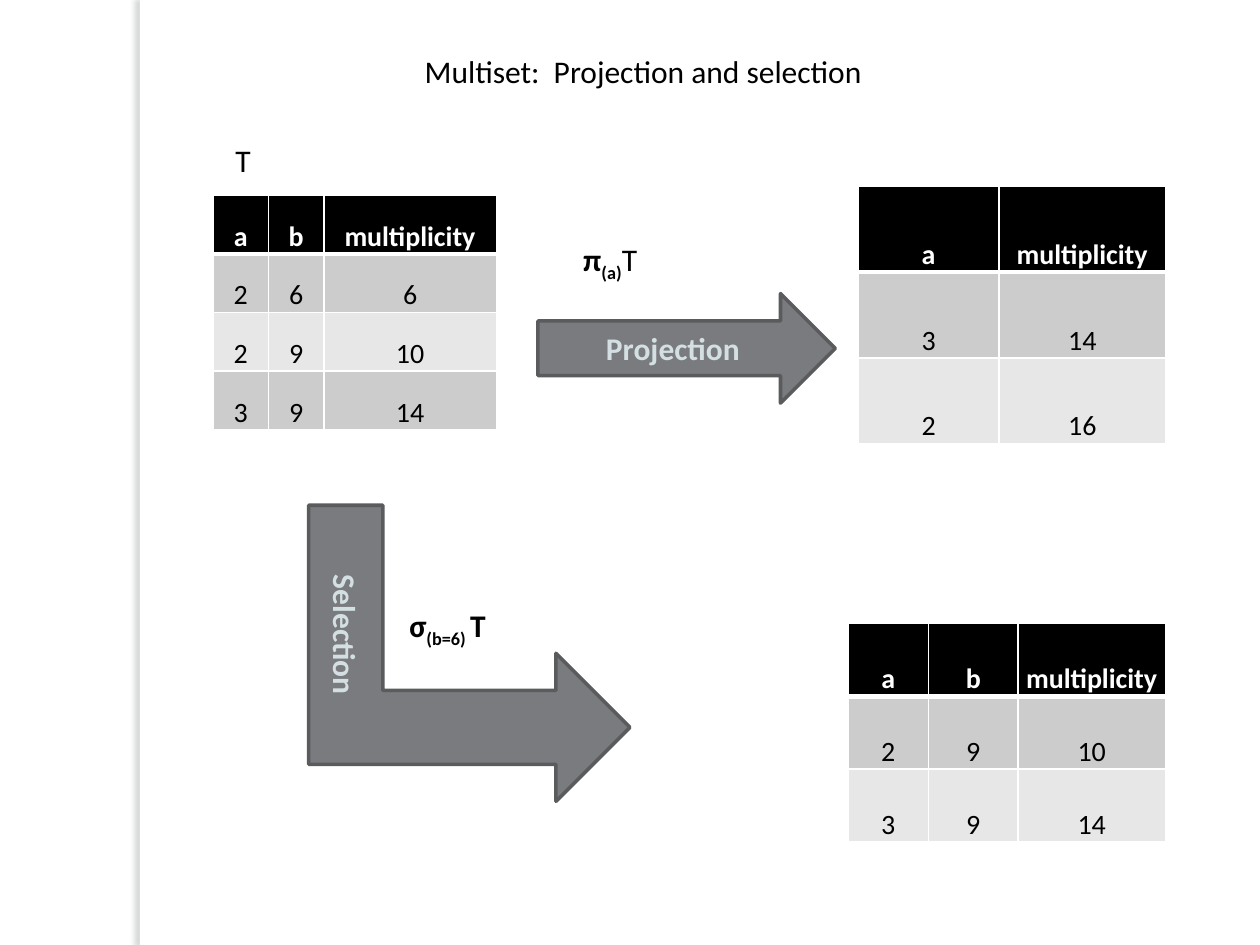
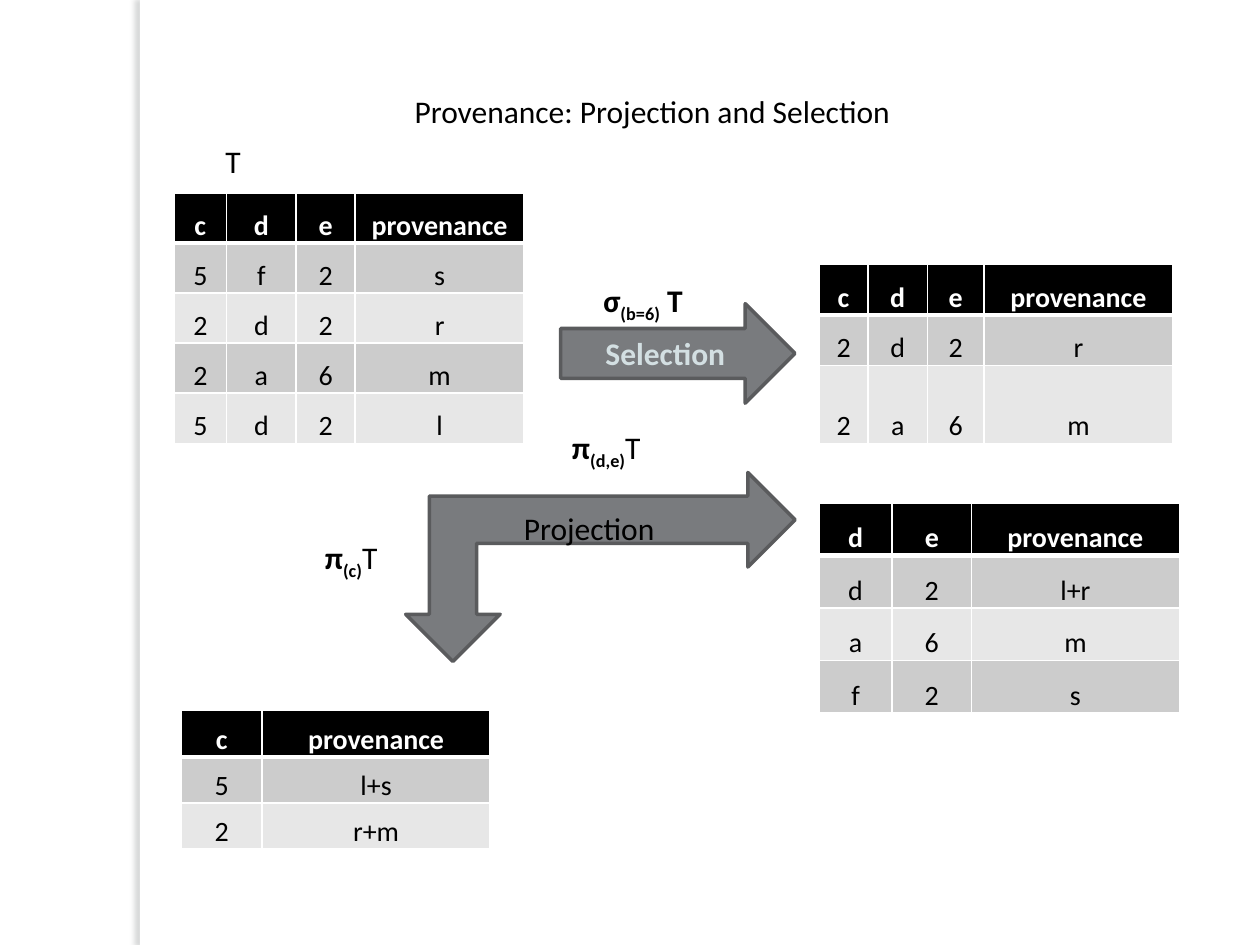
from dataclasses import dataclass
from typing import Any, NamedTuple

from lxml.etree import SubElement
from pptx import Presentation
from pptx.dml.color import RGBColor
from pptx.enum.shapes import MSO_SHAPE
from pptx.enum.text import MSO_ANCHOR, MSO_AUTO_SIZE, PP_ALIGN
from pptx.oxml.ns import qn
from pptx.util import Inches, Pt

BLACK, WHITE = "000000", "FFFFFF"
ROW_BANDS = ("CCCCCC", "E7E7E7")
ARROW_FILL, ARROW_LINE = "797B7E", "5A5B5D"
ARROW_TEXT, ARROW_TEXT_OUTLINE = "D3DFE2", "434342"
BAND_SHADOW = "666B6C"
TITLE_ONLY = 5

BODY_FONT = {"name": "Calibri", "size": Pt(18), "bold": False}
STRONG_FONT = BODY_FONT | {"bold": True}
CELL_FONT = BODY_FONT | {"size": Pt(16)}
HEADER_FONT = CELL_FONT | {"bold": True}
BOX_FORMAT = {
    "word_wrap": True,
    "vertical_anchor": MSO_ANCHOR.TOP,
    "auto_size": MSO_AUTO_SIZE.SHAPE_TO_FIT_TEXT,
}
CELL_FORMAT = {
    "vertical_anchor": MSO_ANCHOR.BOTTOM,
    "margin_left": Inches(0.01),
    "margin_right": Inches(0.01),
    "margin_top": Inches(0.01),
    "margin_bottom": 0,
}


class Box(NamedTuple):
    left: float
    top: float
    width: float
    height: float = 0.4

    def lengths(self) -> list[int]:
        return [Inches(value) for value in self]


class Piece(NamedTuple):
    text: str
    bold: bool = False
    subscript: bool = False


@dataclass
class Label:
    box: Box
    pieces: list[Piece]


@dataclass
class Arrow:
    kind: MSO_SHAPE
    box: Box
    operation: str = ""
    rotation: int = 0


@dataclass
class Relation:
    """Rows are equally high, but the last one can be higher by last_row_extra."""
    left: float
    top: float
    height: float
    column_widths: list[float]
    rows: list[str]
    last_row_extra: float = 0


@dataclass
class Page:
    title: str
    title_box: Box
    relations: list[Relation]
    arrows: list[Arrow]
    labels: list[Label]


def formula(operator: str, condition: str, operand: str, bold: bool = False) -> list[Piece]:
    return [Piece(operator, True), Piece(condition, True, True), Piece(operand, bold)]


PAGES = [
    Page(
        "Multiset:  Projection and selection",
        Box(3.27, 0.36, 5.04),
        [
            Relation(1.69, 1.55, 1.86, [0.44, 0.44, 1.37],
                     ["a b multiplicity", "2 6 6", "2 9 10", "3 9 14"]),
            Relation(6.81, 1.48, 2.04, [1.12, 1.32],
                     ["a multiplicity", "3 14", "2 16"]),
            Relation(6.73, 4.95, 1.73, [0.64, 0.71, 1.17],
                     ["a b multiplicity", "2 9 10", "3 9 14"]),
        ],
        [
            Arrow(MSO_SHAPE.RIGHT_ARROW, Box(4.27, 2.33, 2.36, 0.87), "Projection"),
            Arrow(MSO_SHAPE.BENT_UP_ARROW, Box(2.55, 3.91, 2.35, 2.55), "Selection", 90),
        ],
        [
            Label(Box(1.77, 1.07, 2.13), [Piece("T")]),
            Label(Box(4.53, 1.86, 1.42), formula("π", "(a)", "T")),
            Label(Box(3.15, 4.76, 1.5), formula("σ", "(b=6) ", "T", bold=True)),
        ],
    ),
    Page(
        "Provenance: Projection and Selection",
        Box(3.19, 0.68, 4.41),
        [
            Relation(1.38, 1.53, 1.99, [0.42, 0.55, 0.47, 1.34],
                     ["c d e provenance", "5 f 2 s", "2 d 2 r", "2 a 6 m", "5 d 2 l"]),
            Relation(6.5, 2.1, 1.42, [0.39, 0.47, 0.45, 1.5],
                     ["c d e provenance", "2 d 2 r", "2 a 6 m"], last_row_extra=0.22),
            Relation(1.44, 5.64, 1.1, [0.64, 1.81],
                     ["c provenance", "5 l+s", "2 r+m"]),
            Relation(6.5, 3.99, 1.67, [0.58, 0.63, 1.65],
                     ["d e provenance", "d 2 l+r", "a 6 m", "f 2 s"]),
        ],
        [
            Arrow(MSO_SHAPE.RIGHT_ARROW, Box(4.45, 2.41, 1.86, 0.79), "Selection"),
            Arrow(MSO_SHAPE.LEFT_UP_ARROW, Box(3.22, 3.75, 3.09, 1.5), rotation=180),
        ],
        [
            Label(Box(1.69, 1.08, 0.55), [Piece("T")]),
            Label(Box(4.69, 2.18, 1.1, 0.71), formula("σ", "(b=6)", " T", bold=True)),
            Label(Box(4.44, 3.35, 1.02), formula("π", "(d,e)", "T")),
            Label(Box(2.48, 4.22, 0.74), formula("π", "(c)", "T")),
            Label(Box(4.06, 3.99, 1.73), [Piece("Projection")]),
        ],
    ),
]


def rgb(color: str) -> RGBColor:
    return RGBColor.from_string(color)


def apply_format(target: Any, values: dict[str, Any]) -> None:
    for attribute, value in values.items():
        setattr(target, attribute, value)


def fill_solid(target: Any, color: str) -> None:
    target.fill.solid()
    target.fill.fore_color.rgb = rgb(color)


def add_run(paragraph: Any, text: str, font: dict[str, Any], color: str) -> Any:
    run = paragraph.add_run()
    run.text = text
    apply_format(run.font, font)
    run.font.color.rgb = rgb(color)
    return run


def add_solid_fill(parent: Any, color: str) -> Any:
    return SubElement(SubElement(parent, qn("a:solidFill")), qn("a:srgbClr"), val=color)


def add_first_line(properties: Any, tag: str, color: str, points: float) -> None:
    """Put a line element ahead of the other children, as the schema asks."""
    line = SubElement(properties, qn(tag), w=str(Pt(points)))
    add_solid_fill(line, color)
    properties.insert(0, line)


def draw_side_band(slide: Any) -> None:
    band = slide.shapes.add_shape(MSO_SHAPE.RECTANGLE, *Box(1.11, 0, 0.08, 7.5).lengths())
    fill_solid(band, WHITE)
    band.line.fill.background()
    band.shadow.inherit = False
    effects = band.element.spPr.find(qn("a:effectLst"))
    shadow = SubElement(effects, qn("a:outerShdw"), blurRad=str(Pt(3)), dist=str(Pt(3)),
                        dir=str(180 * 60000), algn="tl", rotWithShape="0")
    shadow_color = SubElement(shadow, qn("a:srgbClr"), val=BAND_SHADOW)
    SubElement(shadow_color, qn("a:alpha"), val="25000")


def draw_title(slide: Any, title: str, box: Box) -> None:
    heading = slide.shapes.title
    places = zip(("left", "top", "width", "height"), box.lengths())
    apply_format(heading, dict(places))
    apply_format(heading.text_frame, BOX_FORMAT)
    paragraph = heading.text_frame.paragraphs[0]
    paragraph.alignment = PP_ALIGN.LEFT
    add_run(paragraph, title, BODY_FONT, BLACK)


def draw_label(slide: Any, label: Label) -> None:
    frame = slide.shapes.add_textbox(*label.box.lengths()).text_frame
    apply_format(frame, BOX_FORMAT)
    for piece in label.pieces:
        font = STRONG_FONT if piece.bold else BODY_FONT
        run = add_run(frame.paragraphs[0], piece.text, font, BLACK)
        if piece.subscript:
            run.font._element.set("baseline", "-25000")


def draw_arrow(slide: Any, arrow: Arrow) -> None:
    block = slide.shapes.add_shape(arrow.kind, *arrow.box.lengths())
    block.rotation = arrow.rotation
    block.shadow.inherit = False
    fill_solid(block, ARROW_FILL)
    block.line.color.rgb = rgb(ARROW_LINE)
    block.line.width = Pt(2)
    if arrow.operation:
        block.text_frame.vertical_anchor = MSO_ANCHOR.MIDDLE
        paragraph = block.text_frame.paragraphs[0]
        paragraph.alignment = PP_ALIGN.CENTER
        run = add_run(paragraph, arrow.operation, STRONG_FONT, ARROW_TEXT)
        add_first_line(run.font._element, "a:ln", ARROW_TEXT_OUTLINE, 1)


def draw_cell(cell: Any, text: str, row: int) -> None:
    is_header = row == 0
    apply_format(cell, CELL_FORMAT)
    fill_solid(cell, BLACK if is_header else ROW_BANDS[(row - 1) % 2])
    paragraph = cell.text_frame.paragraphs[0]
    paragraph.alignment = PP_ALIGN.CENTER
    add_run(paragraph, text, HEADER_FONT if is_header else CELL_FONT,
            WHITE if is_header else BLACK)
    borders = {"a:lnB": 3 if is_header else 1, "a:lnT": 3 if row == 1 else 1,
               "a:lnR": 1, "a:lnL": 1}
    for side, points in borders.items():
        add_first_line(cell._tc.get_or_add_tcPr(), side, WHITE, points)


def draw_relation(slide: Any, relation: Relation) -> None:
    row_count = len(relation.rows)
    box = Box(relation.left, relation.top, sum(relation.column_widths), relation.height)
    table = slide.shapes.add_table(
        row_count, len(relation.column_widths), *box.lengths()).table
    for column, width in zip(table.columns, relation.column_widths):
        column.width = Inches(width)
    row_height = (relation.height - relation.last_row_extra) / row_count
    for row, values in enumerate(relation.rows):
        table.rows[row].height = Inches(row_height)
        for column, value in enumerate(values.split()):
            draw_cell(table.cell(row, column), value, row)
    table.rows[row_count - 1].height = Inches(row_height + relation.last_row_extra)


def draw_page(presentation: Any, page: Page) -> None:
    slide = presentation.slides.add_slide(presentation.slide_layouts[TITLE_ONLY])
    fill_solid(slide.background, WHITE)
    draw_side_band(slide)
    draw_title(slide, page.title, page.title_box)
    for relation in page.relations:
        draw_relation(slide, relation)
    for arrow in page.arrows:
        draw_arrow(slide, arrow)
    for label in page.labels:
        draw_label(slide, label)


def main() -> None:
    presentation = Presentation()
    presentation.slide_width = Inches(10)
    presentation.slide_height = Inches(7.5)
    for page in PAGES:
        draw_page(presentation, page)
    presentation.save("out.pptx")


if __name__ == "__main__":
    main()
